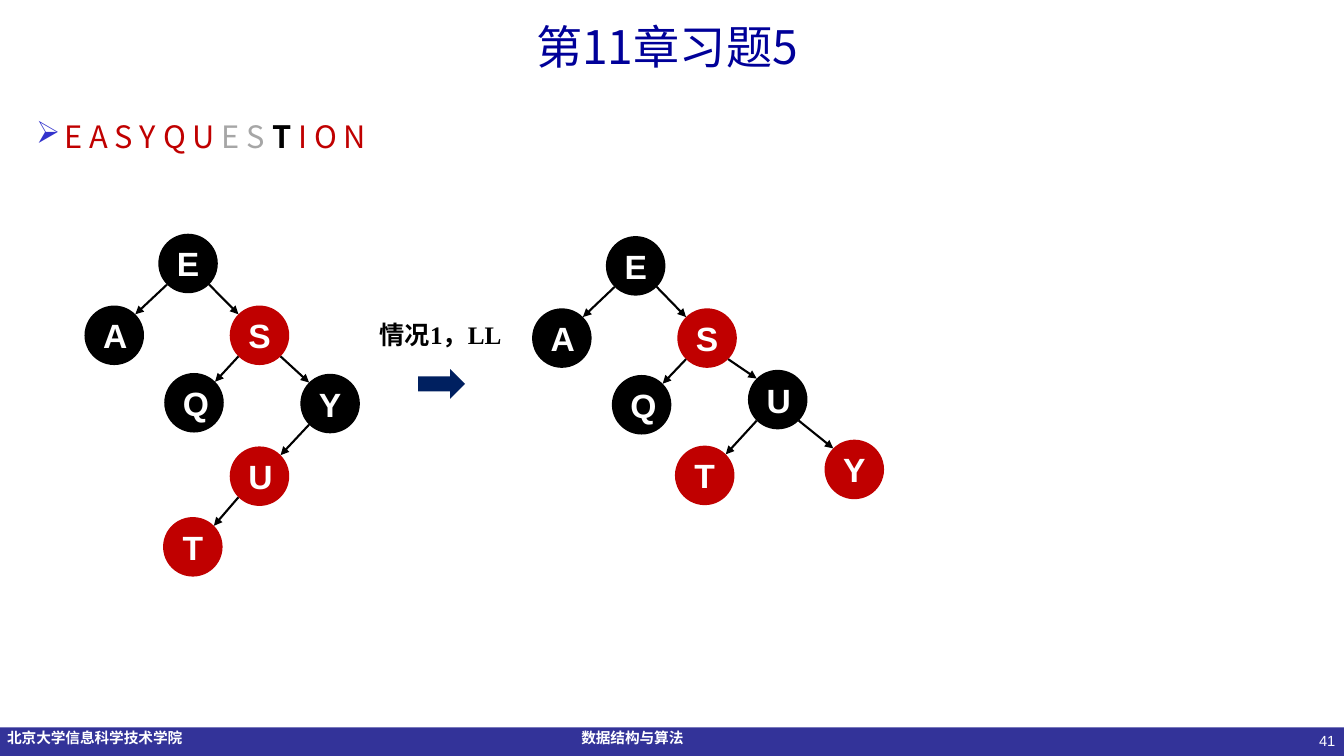
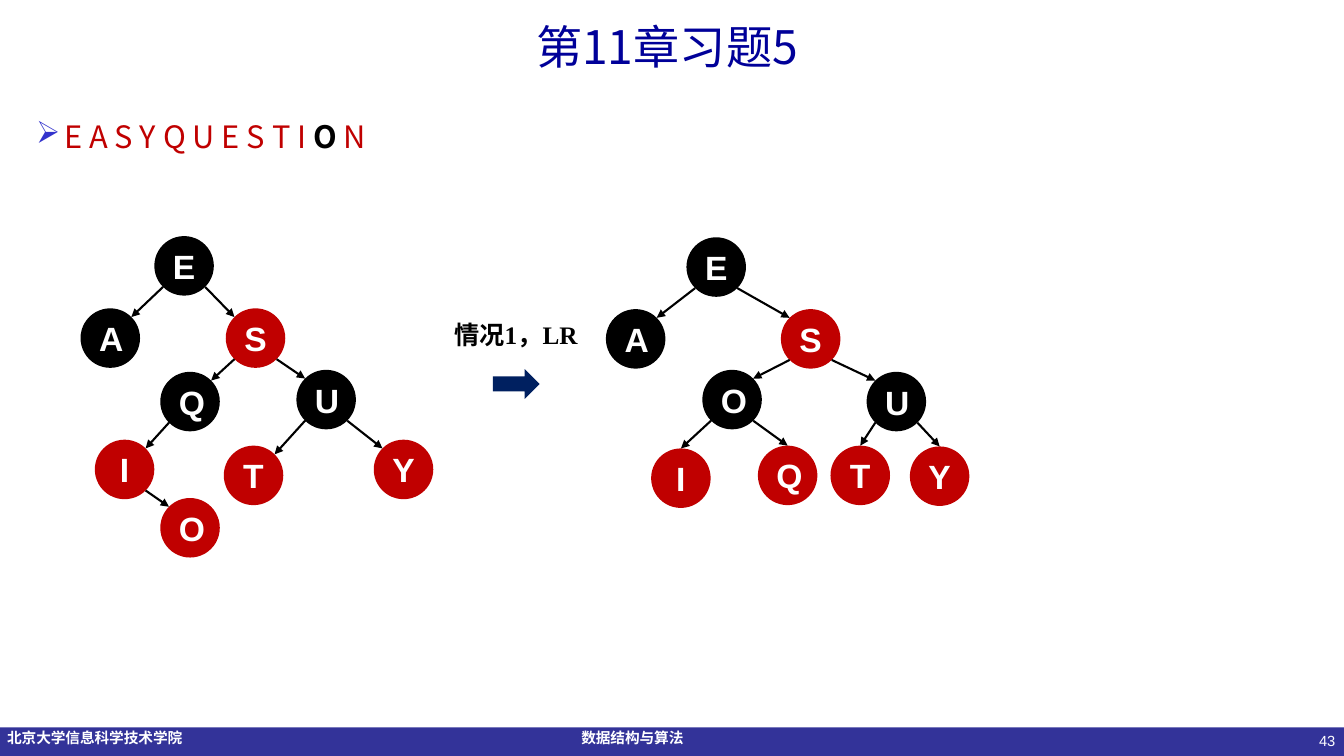
from dataclasses import dataclass
from math import sqrt

from lxml.etree import SubElement
from pptx import Presentation
from pptx.dml.color import RGBColor as RGB
from pptx.enum.shapes import MSO_CONNECTOR as CONN, MSO_SHAPE as SHAPE
from pptx.enum.text import MSO_ANCHOR as ANCHOR, PP_ALIGN as ALIGN
from pptx.oxml.ns import qn
from pptx.util import Cm, Pt


@dataclass(frozen=True)
class Theme:
    black: RGB = RGB.from_string("000000")
    white: RGB = RGB.from_string("FFFFFF")
    red: RGB = RGB.from_string("C00000")
    grey: RGB = RGB.from_string("A6A6A6")
    title: RGB = RGB.from_string("000099")
    band: RGB = RGB.from_string("333399")
    arrow: RGB = RGB.from_string("002060")
    bullet: str = "3333CC"
    sans: str = "Arial"
    serif: str = "Times New Roman"
    cjk: str = "Noto Sans CJK SC"
    title_size: int = 33
    key_size: int = 22
    node_size: int = 24
    label_size: int = 18
    footer_size: float = 10.5


T = Theme()
WIDTH, HEIGHT = 33.87, 19.05
NODE = 1.5
CORNER = NODE / 2 / sqrt(2)
STEEP = 1.5  # edges with a smaller sideways step arrive at the top of the child


def add_run(p, text, size, color, font, bold=False):
    r = p.add_run()
    r.text = text
    r.font.size = Pt(size)
    r.font.color.rgb = color
    r.font.name = font
    r.font.bold = bold
    SubElement(r.font._element, qn("a:ea"), typeface=T.cjk)


def add_solid(slide, kind, x, y, w, h, color):
    sp = slide.shapes.add_shape(kind, Cm(x), Cm(y), Cm(w), Cm(h))
    sp.shadow.inherit = False
    sp.fill.solid()
    sp.fill.fore_color.rgb = color
    sp.line.fill.background()
    return sp


# Each tree lists its nodes as letter, parent, colour, left, top (cm)
SLIDES = [
    {
        "number": "41",
        "keys": [("E A S Y Q U ", T.red), ("E S ", T.grey),
                 ("T", T.black), (" I O N", T.red)],
        "case": "情况1，LL",
        "case_left": 9.32,
        "trees": [
            [("E", None, T.black, 3.99, 5.89),
             ("A", "E", T.black, 2.13, 7.7),
             ("S", "E", T.red, 5.79, 7.7),
             ("Y", "S", T.black, 7.57, 9.42),
             ("Q", "S", T.black, 4.14, 9.4),
             ("U", "Y", T.red, 5.79, 11.25),
             ("T", "U", T.red, 4.11, 13.03)],
            [("E", None, T.black, 15.27, 5.95),
             ("A", "E", T.black, 13.41, 7.77),
             ("S", "E", T.red, 17.07, 7.77),
             ("U", "S", T.black, 18.85, 9.32),
             ("Q", "S", T.black, 15.42, 9.45),
             ("Y", "U", T.red, 20.78, 11.08),
             ("T", "U", T.red, 17.01, 11.23)],
        ],
    },
    {
        "number": "43",
        "keys": [("E A S Y Q U E S T I ", T.red), ("O ", T.black),
                 ("N", T.red)],
        "case": "情况1，LR",
        "case_left": 11.2,
        "trees": [
            [("E", None, T.black, 3.89, 5.95),
             ("A", "E", T.black, 2.03, 7.77),
             ("S", "E", T.red, 5.69, 7.77),
             ("U", "S", T.black, 7.47, 9.32),
             ("Q", "S", T.black, 4.04, 9.37),
             ("Y", "U", T.red, 9.42, 11.08),
             ("T", "U", T.red, 5.64, 11.23),
             ("I", "Q", T.red, 2.39, 11.08),
             ("O", "I", T.red, 4.04, 12.55)],
            [("E", None, T.black, 17.3, 5.98),
             ("A", "E", T.black, 15.27, 7.79),
             ("S", "E", T.red, 19.68, 7.79),
             ("U", "S", T.black, 21.84, 9.37),
             ("O", "S", T.black, 17.7, 9.32),
             ("Y", "U", T.red, 22.93, 11.25),
             ("T", "U", T.red, 20.93, 11.23),
             ("I", "O", T.red, 16.41, 11.3),
             ("Q", "O", T.red, 19.1, 11.23)],
        ],
    },
]

prs = Presentation()
prs.slide_width, prs.slide_height = Cm(WIDTH), Cm(HEIGHT)

# Title position, band and footers live on the title-only layout
layout = prs.slide_layouts[5]
title = layout.placeholders[0]
title.left, title.top, title.width, title.height = 0, 0, Cm(WIDTH), Cm(2.31)
tf = title.text_frame
tf.vertical_anchor = ANCHOR.MIDDLE
tf.margin_left, tf.margin_right = Cm(0.5), Cm(0.75)

pages = [prs.slides.add_slide(layout) for _ in SLIDES]
footers = [add_solid(pages[0], SHAPE.RECTANGLE, 0, 18.33, WIDTH, 0.72, T.band)]
for x, text in ((0.18, "北京大学信息科学技术学院"), (14.65, "数据结构与算法")):
    sp = pages[0].shapes.add_textbox(Cm(x), Cm(18.23), Cm(5), Cm(0.72))
    sp.text_frame.word_wrap = True
    sp.text_frame.margin_left = 0
    add_run(sp.text_frame.paragraphs[0], text, T.footer_size, T.white, T.sans, True)
    footers.append(sp)
for sp in footers:
    layout.element.cSld.spTree.append(sp.element)

for s, content in zip(pages, SLIDES):
    p = s.shapes.title.text_frame.paragraphs[0]
    p.alignment = ALIGN.CENTER
    add_run(p, "第11章习题5", T.title_size, T.title, T.cjk)

    sp = s.shapes.add_textbox(Cm(26), Cm(18.31), Cm(7.9), Cm(0.72))
    p = sp.text_frame.paragraphs[0]
    sp.text_frame.word_wrap = True
    p.alignment = ALIGN.RIGHT
    add_run(p, content["number"], T.footer_size, T.white, T.sans)

    # Key sequence, with the key being inserted in bold black
    sp = s.shapes.add_textbox(Cm(0.66), Cm(2.51), Cm(32.54), Cm(1.52))
    sp.text_frame.word_wrap = True
    p = sp.text_frame.paragraphs[0]
    p.line_spacing = 1.35
    p.space_before = Pt(4.4)
    pPr = p._p.get_or_add_pPr()
    pPr.set("marL", str(Cm(0.71)))
    pPr.set("indent", str(-Cm(0.71)))
    SubElement(SubElement(pPr, qn("a:buClr")), qn("a:srgbClr"), val=T.bullet)
    SubElement(pPr, qn("a:buChar"), char="➢")
    for text, color in content["keys"]:
        add_run(p, text, T.key_size, color, T.cjk, color == T.black)

    for tree in content["trees"]:
        centres = {}
        for letter, parent, color, left, top in tree:
            sp = add_solid(s, SHAPE.OVAL, left, top, NODE, NODE, color)
            sp.text_frame.vertical_anchor = ANCHOR.MIDDLE
            p = sp.text_frame.paragraphs[0]
            p.alignment = ALIGN.CENTER
            add_run(p, letter, T.node_size, T.white, T.sans, True)

            x, y = centres[letter] = left + NODE / 2, top + NODE / 2
            if parent is None:
                continue
            px, py = centres[parent]
            side = CORNER if x > px else -CORNER
            if abs(x - px) < STEEP:
                end_x, end_y = x, top
            else:
                end_x, end_y = x - side, y - CORNER
            edge = s.shapes.add_connector(
                CONN.STRAIGHT, Cm(px + side), Cm(py + CORNER), Cm(end_x), Cm(end_y))
            edge.line.color.rgb = T.black
            edge.line.width = Pt(1.5)
            SubElement(edge.line._get_or_add_ln(), qn("a:tailEnd"), type="triangle")
            SubElement(edge._element.spPr, qn("a:effectLst"))

    left = content["case_left"]
    add_solid(s, SHAPE.RIGHT_ARROW, left + 1.22, 9.3, 1.18, 0.75, T.arrow)
    sp = s.shapes.add_textbox(Cm(left), Cm(7.92), Cm(3.63), Cm(1.02))
    sp.text_frame.word_wrap = True
    add_run(sp.text_frame.paragraphs[0], content["case"],
            T.label_size, T.black, T.serif, True)

prs.save("out.pptx")
